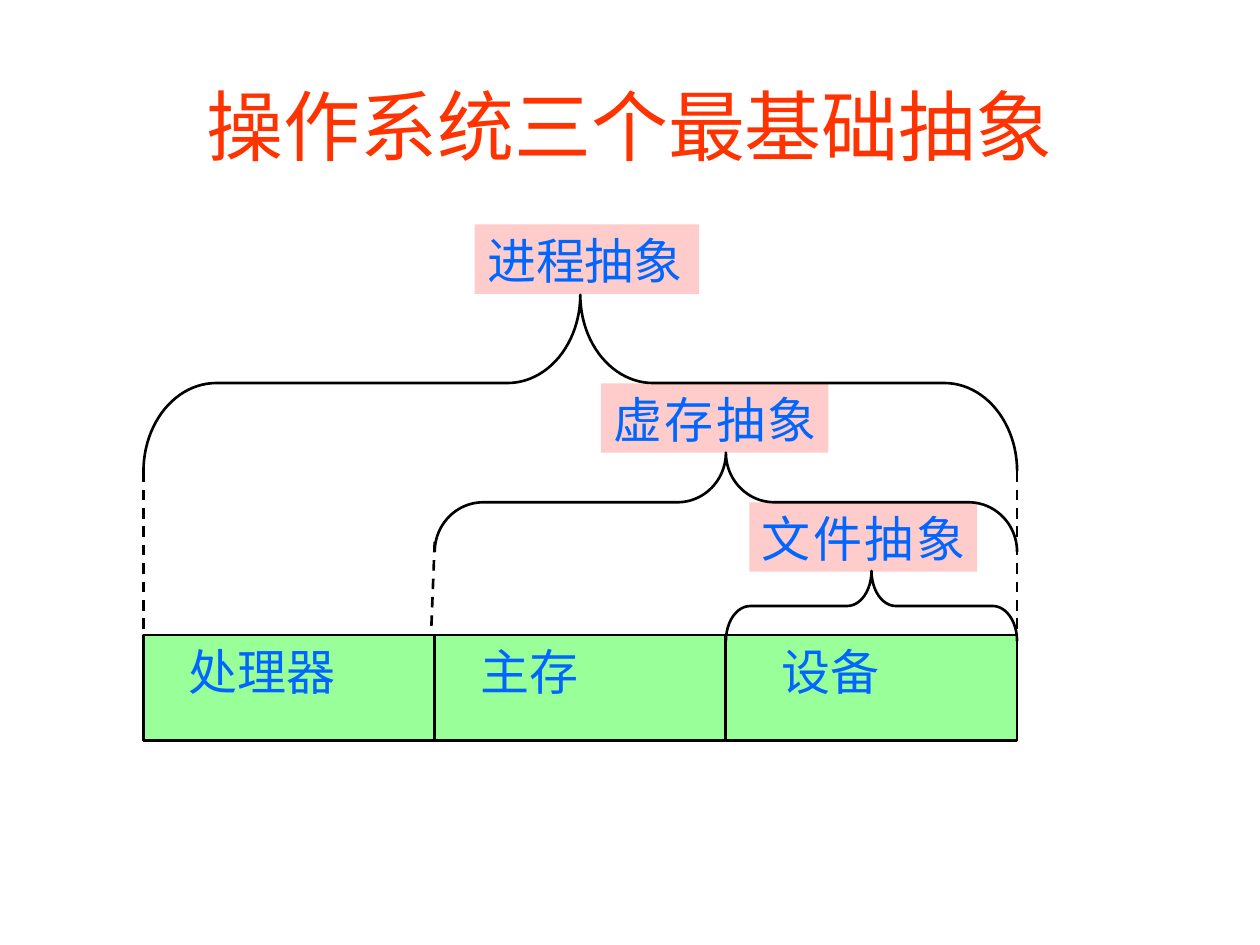
import pptx
import pptx.util
import pptx.dml.color
import pptx.enum.dml
import pptx.enum.shapes
import pptx.enum.text
import pptx.oxml.ns
import lxml.etree

Pt = pptx.util.Pt
Shape = pptx.enum.shapes.MSO_SHAPE
Anchor = pptx.enum.text.MSO_ANCHOR
Align = pptx.enum.text.PP_ALIGN
qn = pptx.oxml.ns.qn
SANS = "Noto Sans CJK SC"
LEFT, TOP, CELL, HIGH = 82, 362.8, 166.4, 60.5
RIGHT = LEFT + 3 * CELL


def color(code):
    return pptx.dml.color.RGBColor.from_string(code)


def write(shape, text, size, font, code, align, anchor=Anchor.TOP, inset=7.2, gap=0):
    frame = shape.text_frame
    frame.word_wrap = True
    frame.vertical_anchor = anchor
    frame.margin_left = Pt(inset)
    frame.margin_right = Pt(0 if gap else 7.2)
    frame.margin_top = frame.margin_bottom = Pt(3.6)
    par = frame.paragraphs[0]
    par.alignment = align
    run = par.add_run()
    run.text = text
    run.font.size = Pt(size)
    run.font.name = font
    run.font.color.rgb = color(code)
    props = run.font._element
    lxml.etree.SubElement(props, qn("a:ea")).set("typeface", SANS)
    if gap:
        props.set("spc", str(int(gap * 100)))


def stroke(line):
    line.color.rgb = color("000000")
    line.width = Pt(1.5)


def block(slide, x, y, wide, high, fill, text, inset=7.2, gap=0):
    box = slide.shapes.add_shape(Shape.RECTANGLE, Pt(x), Pt(y), Pt(wide), Pt(high))
    box.shadow.inherit = False
    box.fill.solid()
    box.fill.fore_color.rgb = color(fill)
    write(box, text, 28, SANS, "0066FF", Align.LEFT, inset=inset, gap=gap)
    return box


def title(slide, x, y, wide, high):
    box = slide.shapes.add_textbox(Pt(x), Pt(y), Pt(wide), Pt(high))
    write(box, "操作系统三个最基础抽象", 44, "Times New Roman", "FF3300",
          Align.CENTER, Anchor.MIDDLE)


def labels(slide):
    for text, x, y, wide, gap in (
        ("文件抽象", 428.2, 287, 130.2, 1.5),
        ("虚存抽象", 343.4, 219, 130, 1.5),
        ("进程抽象", 271.3, 128.2, 128.3, 0),
    ):
        box = block(slide, x, y, wide, 39.7, "FFCCCC", text, gap=gap)
        box.line.fill.background()


def cells(slide, x, y, wide, high):
    for col, (text, inset) in enumerate((("处理器", 26), ("主存", 26), ("设备", 31.6))):
        box = block(slide, x + col * wide, y, wide, high, "99FF99", text, inset)
        stroke(box.line)


def brace(slide, x, y, wide, deep):
    mid, top = x + wide / 2, y + deep / 2
    arc = slide.shapes.add_shape(Shape.LEFT_BRACE, Pt(mid - deep / 2), Pt(top - wide / 2),
                                 Pt(deep), Pt(wide))
    arc.rotation = 90
    arc.adjustments[0] = wide / 12 / deep
    arc.shadow.inherit = False
    arc.fill.background()
    stroke(arc.line)


def dash(slide, x, y, end, foot):
    line = slide.shapes.add_connector(pptx.enum.shapes.MSO_CONNECTOR.STRAIGHT,
                                      Pt(x), Pt(y), Pt(end), Pt(foot))
    stroke(line.line)
    line.line.dash_style = pptx.enum.dml.MSO_LINE.DASH
    lxml.etree.SubElement(line._element.spPr, qn("a:effectLst"))


def chart(slide):
    labels(slide)
    cells(slide, LEFT, TOP, CELL, HIGH)
    for span, y, deep in ((1, 326.3, 40), (2, 258.7, 56.7), (3, 168.5, 100.8)):
        brace(slide, RIGHT - span * CELL, y, span * CELL, deep)
    dash(slide, LEFT + CELL, 309.6, LEFT + CELL - 2, 360.7)
    for x in (LEFT, RIGHT):
        dash(slide, x, 269.3, x, 360.7)


def main():
    deck = pptx.Presentation()
    deck.slide_width, deck.slide_height = Pt(720), Pt(540)
    slide = deck.slides.add_slide(deck.slide_layouts[6])
    title(slide, 54, 26, 612, 90)
    chart(slide)
    deck.save("out.pptx")


if __name__ == "__main__":
    main()
